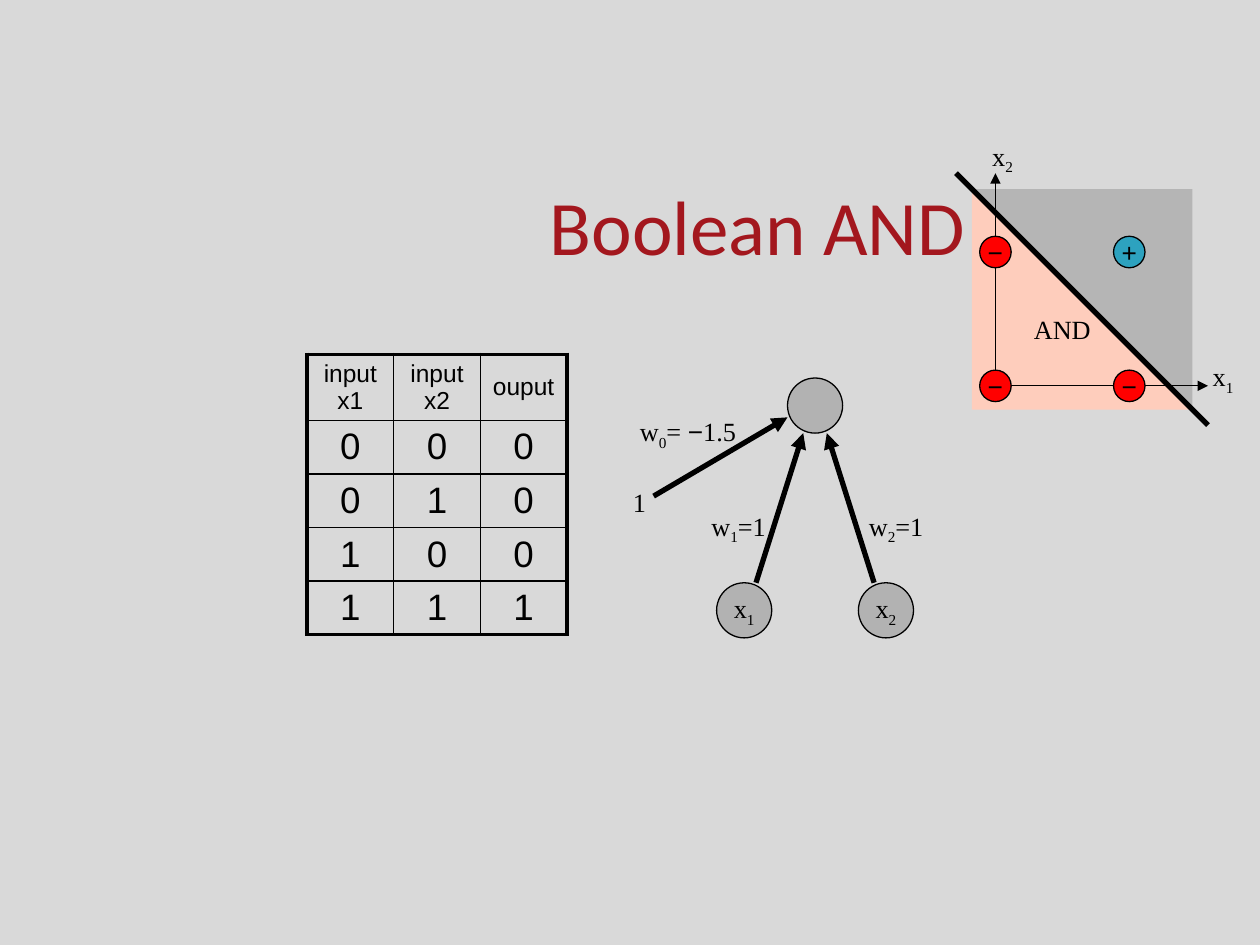
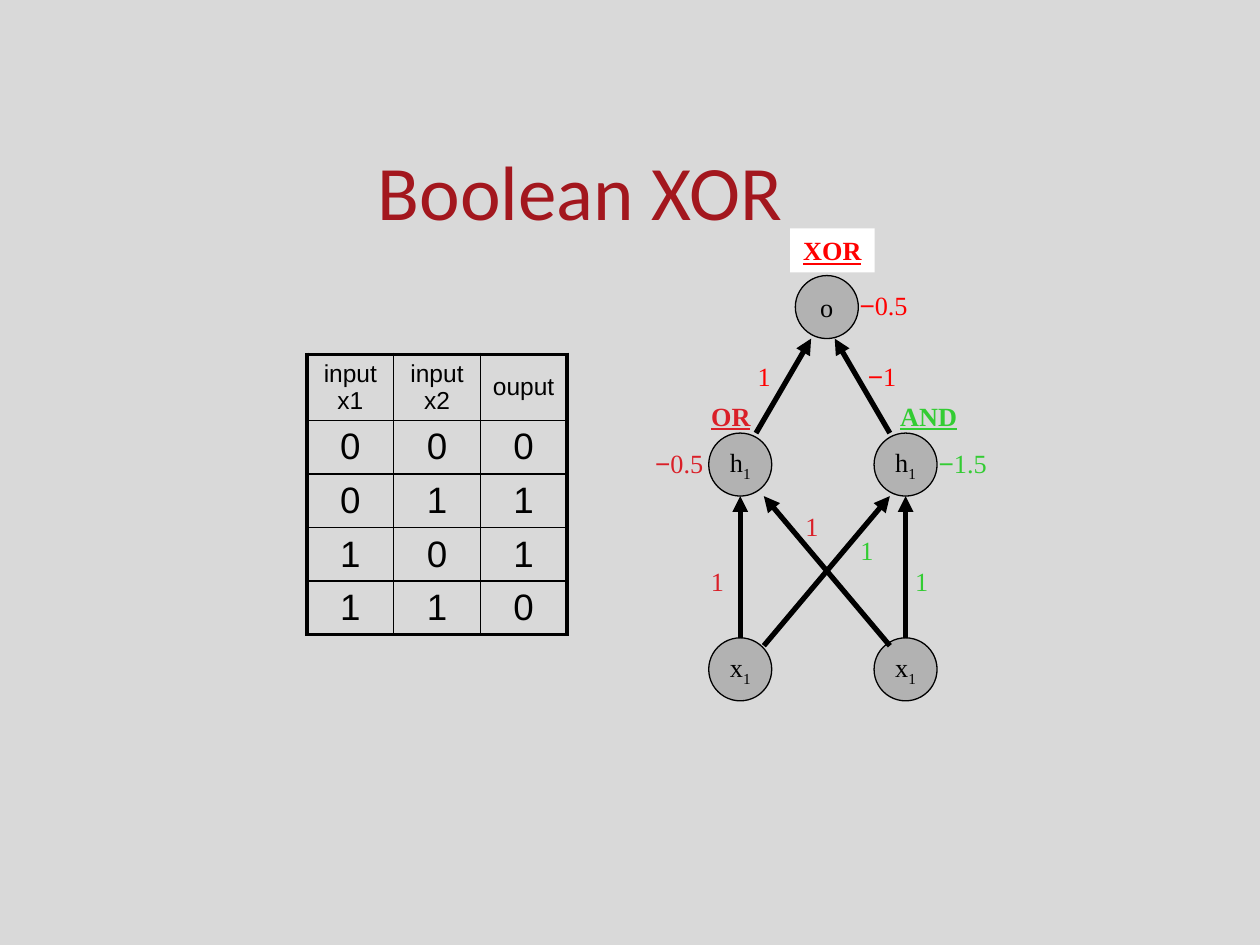
from itertools import groupby
from typing import NamedTuple, Optional

from lxml.etree import SubElement
from pptx import Presentation
from pptx.dml.color import RGBColor
from pptx.enum.shapes import MSO_CONNECTOR, MSO_SHAPE
from pptx.enum.text import MSO_ANCHOR, MSO_AUTO_SIZE, PP_ALIGN
from pptx.oxml import parse_xml
from pptx.oxml.ns import nsdecls, qn
from pptx.util import Emu, Inches, Pt

# The slide is a grid of 160 columns by 120 rows.
COLS, ROWS = 160, 120
CELL = Inches(10) // COLS

BACKGROUND, TITLE_RED, BLACK, WHITE = "D9D9D9", "A3171E", "000000", "FFFFFF"
NODE_GREY, POSITIVE, NEGATIVE = "B2B2B2", "2DA2BF", "FF0000"
TRUE_AREA, FALSE_AREA = "B5B5B5", "FECDBC"
OR_RED, AND_GREEN, XOR_RED = "DA1F28", "33CC33", "FF0000"
THIN, THICK, FRAME, INNER = 0.75, 3, 2.25, 1
LABEL_ROWS, LABEL_SIZE = 5.6, 15


class Label(NamedTuple):
    """Text centred on a column, with its top on a row."""
    text: str
    center: float
    top: float
    width: float = 5
    color: str = BLACK
    heading: bool = False
    fill: Optional[str] = None


class Circle(NamedTuple):
    col: float
    row: float
    size: float
    text: str = ""
    fill: str = NODE_GREY


class Line(NamedTuple):
    start: tuple
    end: tuple
    width: float = THICK
    arrow: bool = True


def grid(*cells: float) -> list:
    return [Emu(round(c * CELL)) for c in cells]


def rgb(color: str) -> RGBColor:
    return RGBColor.from_string(color)


def assign(obj, values: dict) -> None:
    for name, value in values.items():
        setattr(obj, name, value)


def format_font(font, color: str, **values) -> None:
    assign(font, values)
    font.color.rgb = rgb(color)


def write(tf, text: str, color: str = BLACK, heading: bool = False) -> None:
    """Write one centred line: "_" lowers the next character, signs are in Arial."""
    tf.word_wrap = False
    p = tf.paragraphs[0]
    p.alignment = PP_ALIGN.CENTER
    styled = [(c, text[i - 1:i] == "_", c in "−+") for i, c in enumerate(text) if c != "_"]
    for (lowered, sign), chars in groupby(styled, key=lambda item: item[1:]):
        r = p.add_run()
        r.text = "".join(c for c, *_ in chars)
        format_font(r.font, color, size=Pt(LABEL_SIZE), bold=heading, underline=heading,
                    name="Arial" if sign else "Times New Roman")
        if lowered:
            r.font._element.set("baseline", "-25000")


def draw_label(s, label: Label) -> None:
    box = s.shapes.add_textbox(*grid(label.center - label.width / 2, label.top,
                                     label.width, LABEL_ROWS))
    tf = box.text_frame
    assign(tf, dict(auto_size=MSO_AUTO_SIZE.SHAPE_TO_FIT_TEXT,
                    vertical_anchor=MSO_ANCHOR.TOP))
    write(tf, label.text, label.color, label.heading)
    if label.fill:
        box.fill.solid()
        box.fill.fore_color.rgb = rgb(label.fill)


def draw_circle(s, circle: Circle):
    sp = s.shapes.add_shape(MSO_SHAPE.OVAL, *grid(circle.col, circle.row,
                                                  circle.size, circle.size))
    sp.shadow.inherit = False
    sp.fill.solid()
    sp.fill.fore_color.rgb = rgb(circle.fill)
    sp.line.color.rgb = rgb(BLACK)
    sp.line.width = Pt(THIN)
    if circle.text:
        sp.text_frame.vertical_anchor = MSO_ANCHOR.MIDDLE
        write(sp.text_frame, circle.text)
    return sp


def draw_line(s, line: Line):
    cxn = s.shapes.add_connector(MSO_CONNECTOR.STRAIGHT, *grid(*line.start, *line.end))
    cxn.line.color.rgb = rgb(BLACK)
    cxn.line.width = Pt(line.width)
    if line.arrow:
        SubElement(cxn.line._get_or_add_ln(), qn("a:tailEnd"), type="triangle")
    SubElement(cxn._element.spPr, qn("a:effectLst"))
    return cxn


def draw_area(s, points: list, color: str) -> None:
    start, *rest = [tuple(grid(*point)) for point in points]
    builder = s.shapes.build_freeform(*start)
    builder.add_line_segments(rest, close=True)
    sp = builder.convert_to_shape()
    sp.shadow.inherit = False
    sp.fill.solid()
    sp.fill.fore_color.rgb = rgb(color)
    sp.line.fill.background()


def set_borders(cell, widths: dict) -> None:
    """Draw black borders, given as side letter to points."""
    tc_pr = cell._tc.get_or_add_tcPr()
    for i, (side, width) in enumerate(widths.items()):
        tc_pr.insert(i, parse_xml(
            f'<a:ln{side} {nsdecls("a")} w="{Pt(width)}"><a:solidFill>'
            f'<a:srgbClr val="{BLACK}"/></a:solidFill></a:ln{side}>'))


def draw_truth_table(s, outputs: str) -> None:
    rows = [("input x1", "input x2", "ouput")]
    rows += [(*f"{i:02b}", output) for i, output in enumerate(outputs)]
    table = s.shapes.add_table(len(rows), 3, *grid(39, 45, 33, 35.6)).table
    assign(table, dict(first_row=False, horz_banding=False))
    for column in table.columns:
        column.width, = grid(11)
    side_margin, end_margin = grid(1.14, 0.5)
    for i, values in enumerate(rows):
        table.rows[i].height, = grid(6.8 if i else 8.4)
        for j, value in enumerate(values):
            cell = table.cell(i, j)
            assign(cell, dict(margin_left=side_margin, margin_right=side_margin,
                              margin_top=end_margin, margin_bottom=end_margin,
                              vertical_anchor=MSO_ANCHOR.MIDDLE))
            cell.fill.background()
            on_edge = dict(L=j == 0, R=j == 2, T=i == 0, B=i == len(rows) - 1)
            set_borders(cell, {side: FRAME if edge else INNER
                               for side, edge in on_edge.items()})
            p = cell.text_frame.paragraphs[0]
            p.alignment = PP_ALIGN.CENTER
            r = p.add_run()
            r.text = value
            format_font(r.font, BLACK, name="Arial", size=Pt(21 if i else 14), bold=False)


def add_slide(prs, title: str, col: float, row: float, outputs: str):
    """Add a slide with its title and truth table."""
    s = prs.slides.add_slide(prs.slide_layouts[5])
    sp = s.shapes.title
    left, top, width, height = grid(col, row, 82.4, 15)
    assign(sp, dict(left=left, top=top, width=width, height=height))
    tf = sp.text_frame
    assign(tf, dict(text=title, vertical_anchor=MSO_ANCHOR.MIDDLE, word_wrap=True,
                    auto_size=MSO_AUTO_SIZE.NONE))
    p = tf.paragraphs[0]
    p.alignment = PP_ALIGN.CENTER
    format_font(p.runs[0].font, TITLE_RED, name="Calibri", size=Pt(44))
    draw_truth_table(s, outputs)
    return s


def draw_plane(s) -> None:
    """Draw the input plane, split by the AND boundary."""
    left, top, side = 123.4, 24, 28
    right, bottom = left + side, top + side
    draw_area(s, [(left, top), (right, top), (right, bottom)], TRUE_AREA)
    draw_area(s, [(right, bottom), (left, bottom), (left, top)], FALSE_AREA)
    draw_line(s, Line((121.4, 22), (153.4, 54), arrow=False))
    origin = (126.4, 49)
    for end in ((153.4, origin[1]), (origin[0], 22)):
        draw_line(s, Line(origin, end, THIN))
    size, step = 4, 17
    for x1, x2 in ((1, 0), (0, 0), (0, 1), (1, 1)):
        sign, fill = ("+", POSITIVE) if x1 and x2 else ("−", NEGATIVE)
        draw_circle(s, Circle(origin[0] + step * x1 - size / 2,
                              origin[1] - step * x2 - size / 2, size, sign, fill))
    for label in (Label("x_1", 155.3, 45, 6), Label("x_2", 127.3, 17, 6),
                  Label("AND", 134.9, 39, 10.56)):
        draw_label(s, label)


def build_and(prs) -> None:
    s = add_slide(prs, "Boolean AND", 55, 21, "0001")
    for node in (Circle(109, 74, 7, "x_2"), Circle(100, 48, 7), Circle(91, 74, 7, "x_1")):
        draw_circle(s, node)
    for arrow in (Line((111, 74), (105, 55)), Line((96, 74), (102, 55)),
                  Line((83, 63), (100, 53))):
        draw_line(s, arrow)
    for label in (Label("w_2=1", 113.8, 64, 10.4), Label("w_1=1", 93.8, 64, 10.4),
                  Label("w_0= −1.5", 87.36, 52, 15.68), Label("1", 81.2, 61)):
        draw_label(s, label)
    draw_plane(s)


def build_xor(prs) -> None:
    s = add_slide(prs, "Boolean XOR", 32.5, 16.6, "0110")
    size, hidden_row, input_row = 8, 55, 81
    draw_circle(s, Circle(101, 35, size, "o"))
    for col in (90, 111):
        draw_circle(s, Circle(col, hidden_row, size, "h_1"))
        x = draw_circle(s, Circle(col, input_row, size, "x_1"))
        center = col + size / 2
        upward = draw_line(s, Line((center, input_row), (center, hidden_row + size)))
        upward.begin_connect(x, 0)
    for arrow in (Line((113, 82), (97, 63)), Line((97, 82), (113, 63)),
                  Line((113, 55), (106, 43)), Line((96, 55), (103, 43))):
        draw_line(s, arrow)
    for label in (
        Label("1", 117.04, 71, color=AND_GREEN),
        Label("−1.5", 122.24, 56, 9.28, AND_GREEN),
        Label("AND", 117.92, 50, 10.56, AND_GREEN, heading=True),
        Label("1", 110.1, 67, color=AND_GREEN),
        Label("1", 103.12, 64, color=OR_RED),
        Label("−0.5", 86.24, 56, 9.28, OR_RED),
        Label("OR", 92.8, 50, 8.32, OR_RED, heading=True),
        Label("1", 91.12, 71, color=OR_RED),
        Label("1", 97.04, 45, color=XOR_RED),
        Label("−0.5", 112.2, 36, 9.28, XOR_RED),
        Label("XOR", 105.7, 29, 10.72, XOR_RED, heading=True, fill=WHITE),
        Label("−1", 112, 45, 7.5, XOR_RED),
    ):
        draw_label(s, label)


def main() -> None:
    prs = Presentation()
    prs.slide_width, prs.slide_height = grid(COLS, ROWS)
    fill = prs.slide_master.background.fill
    fill.solid()
    fill.fore_color.rgb = rgb(BACKGROUND)
    build_and(prs)
    build_xor(prs)
    prs.save("out.pptx")


if __name__ == "__main__":
    main()
